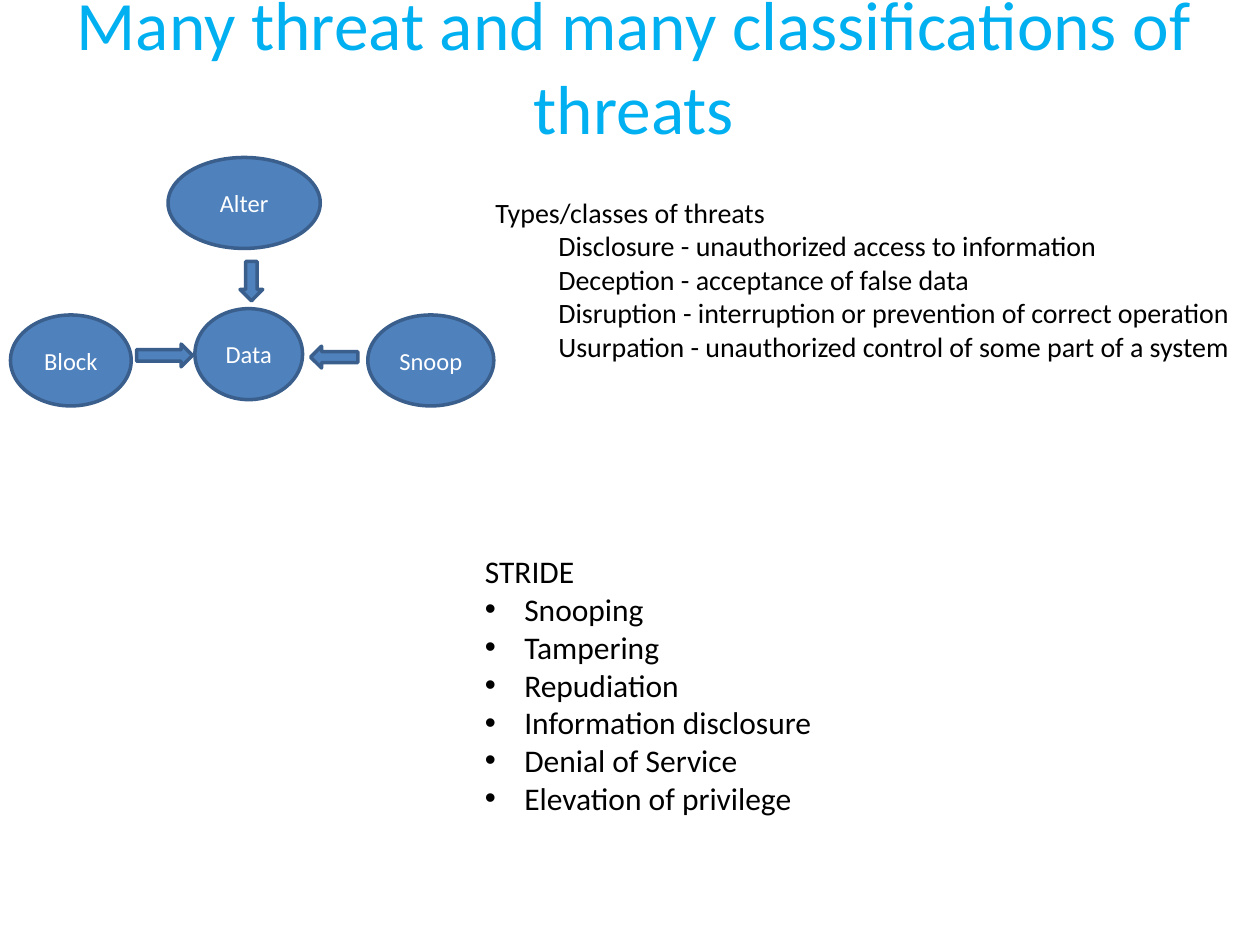
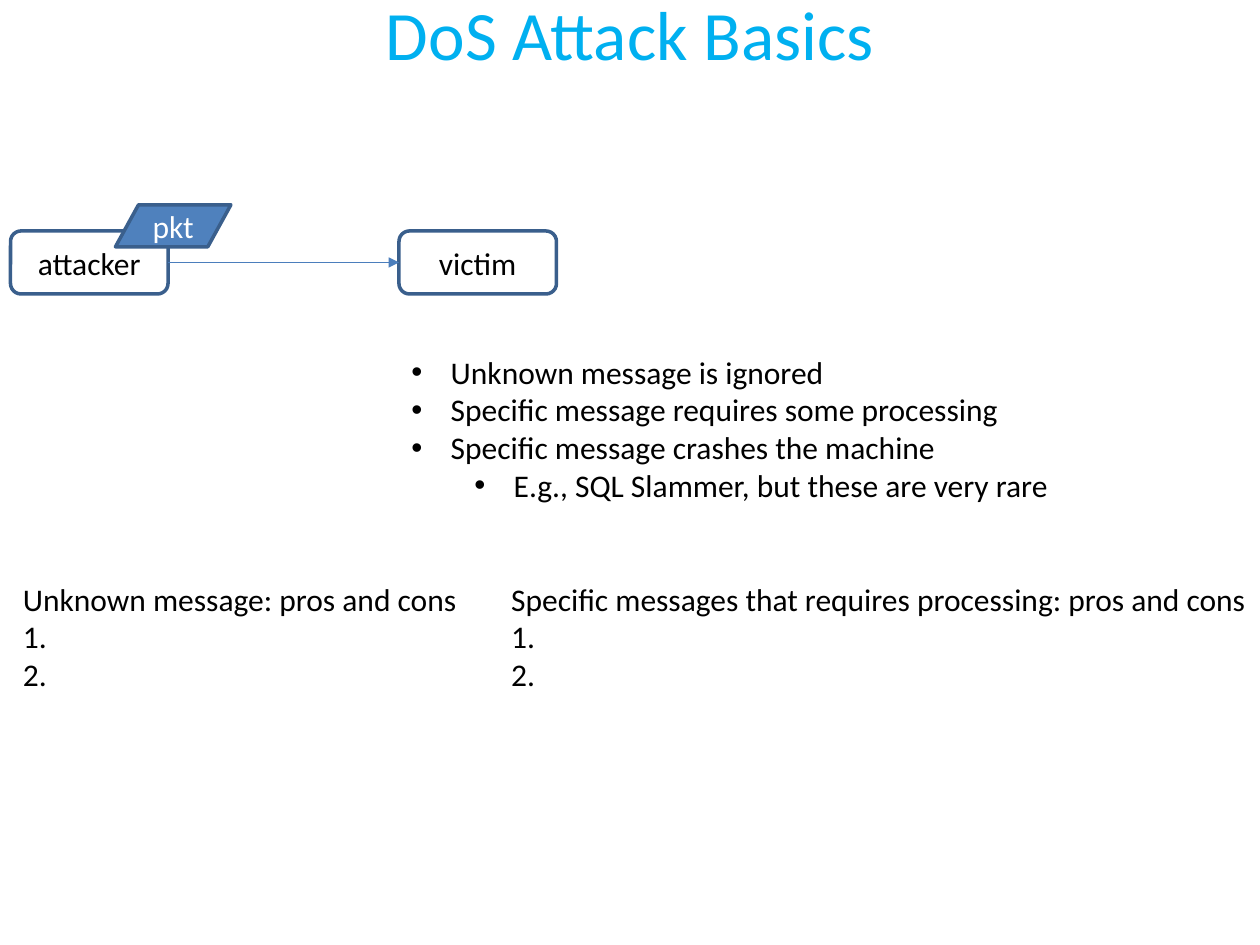
from lxml.etree import SubElement
from pptx import Presentation
from pptx.dml.color import RGBColor
from pptx.enum.shapes import MSO_CONNECTOR, MSO_SHAPE
from pptx.enum.text import MSO_ANCHOR, MSO_AUTO_SIZE, PP_ALIGN
from pptx.oxml.ns import qn
from pptx.util import Pt

COLORS = {
    "title": "00B0F0",
    "text": "000000",
    "light": "FFFFFF",
    "fill": "4F81BD",
    "outline": "3A5F8C",
    "connector": "4B7EBC",
}
FONT = "Calibri"
TITLE_ONLY = 5
SLIDE_WIDTH, SLIDE_HEIGHT = 720, 540
LEVEL_INDENT = 36
HANGING = {"bullet": 22.5, "number": 27}


def rgb(name):
    return RGBColor.from_string(COLORS[name])


class SlideBuilder:
    """Holds the deck style and the slide being drawn."""

    def __init__(self):
        self.deck = Presentation()
        self.deck.slide_width = Pt(SLIDE_WIDTH)
        self.deck.slide_height = Pt(SLIDE_HEIGHT)
        self.page = None

    def style_text(self, frame, size, color, align=PP_ALIGN.LEFT):
        for para in frame.paragraphs:
            para.alignment = align
            for span in para.runs:
                span.font.name = FONT
                span.font.size = Pt(size)
                span.font.color.rgb = rgb(color)

    def new_page(self, title, left, top):
        self.page = self.deck.slides.add_slide(self.deck.slide_layouts[TITLE_ONLY])
        box = self.page.shapes.title
        box.left, box.top, box.width, box.height = Pt(left), Pt(top), Pt(SLIDE_WIDTH), Pt(38)
        frame = box.text_frame
        frame.text = title
        frame.auto_size = MSO_AUTO_SIZE.NONE
        frame.vertical_anchor = MSO_ANCHOR.MIDDLE
        self.style_text(frame, 39.6, "title", PP_ALIGN.CENTER)

    def shape(self, kind, left, top, width, height, text="", size=14,
              fill="fill", color="light", rotation=0):
        box = self.page.shapes.add_shape(kind, Pt(left), Pt(top), Pt(width), Pt(height))
        box.shadow.inherit = False
        box.rotation = rotation
        if fill:
            box.fill.solid()
            box.fill.fore_color.rgb = rgb(fill)
        else:
            box.fill.background()
        box.line.color.rgb = rgb("outline")
        box.line.width = Pt(2)
        if text:
            box.text_frame.text = text
            box.text_frame.vertical_anchor = MSO_ANCHOR.MIDDLE
            self.style_text(box.text_frame, size, color, PP_ALIGN.CENTER)
        return box

    def arrow(self, start, end):
        """Join the right side of one box to the left side of another."""
        line = self.page.shapes.add_connector(MSO_CONNECTOR.STRAIGHT, 0, 0, 0, 0)
        line.begin_connect(start, 3)
        line.end_connect(end, 1)
        line.line.color.rgb = rgb("connector")
        line.line.width = Pt(0.75)
        SubElement(line.line._get_or_add_ln(), qn("a:tailEnd"), type="triangle")
        SubElement(line._element.spPr, qn("a:effectLst"))

    def text(self, left, top, width, height, items, size=18, wrap=False):
        """Write (text, marker, level) items, one paragraph each."""
        box = self.page.shapes.add_textbox(Pt(left), Pt(top), Pt(width), Pt(height))
        frame = box.text_frame
        frame.word_wrap = wrap
        frame.auto_size = MSO_AUTO_SIZE.SHAPE_TO_FIT_TEXT
        frame.text = "\n".join(item[0] for item in items)
        self.style_text(frame, size, "text")
        for para, (_, marker, level) in zip(frame.paragraphs, items):
            para.level = level
            self.mark(para, marker, level)

    def mark(self, para, marker, level):
        hanging = HANGING.get(marker, 0)
        properties = para._p.get_or_add_pPr()
        properties.set("marL", str(Pt(level * LEVEL_INDENT + hanging)))
        properties.set("indent", str(-Pt(hanging)))
        if marker == "bullet":
            SubElement(properties, qn("a:buFont"), typeface="Arial")
            SubElement(properties, qn("a:buChar"), char="•")
        elif marker == "number":
            SubElement(properties, qn("a:buAutoNum"), type="arabicPeriod")


def plain(text, level=0):
    return text, None, level


def bullet(text, level=0):
    return text, "bullet", level


def draw_threats(builder):
    builder.new_page("Many threat and many classifications of threats", 2.2, 18)
    for label, left, top, width in (
        ("Data", 111.4, 176.4, 61.5),
        ("Snoop", 210.2, 180, 72),
        ("Alter", 96, 90, 87),
        ("Block", 6, 180, 69),
    ):
        builder.shape(MSO_SHAPE.OVAL, left, top, width, 52, label)
    for left, top, width, height, rotation in (
        (78, 196.6, 32, 13, 0),
        (177.5, 197.8, 27, 12.5, 180),
        (132.4, 154.2, 22.5, 13, 90),
    ):
        builder.shape(MSO_SHAPE.RIGHT_ARROW, left, top, width, height, rotation=rotation)

    classes = (
        "Disclosure - unauthorized access to information",
        "Deception - acceptance of false data",
        "Disruption - interruption or prevention of correct operation",
        "Usurpation - unauthorized control of some part of a system",
    )
    builder.text(276, 108, 444, 104.4,
                 [plain("Types/classes of threats")] + [plain(name, 1) for name in classes],
                 size=16, wrap=True)
    stride = ("Snooping", "Tampering", "Repudiation", "Information disclosure",
              "Denial of Service", "Elevation of privilege")
    builder.text(270, 312, 203, 160, [plain("STRIDE")] + [bullet(name) for name in stride])


def draw_dos_attack(builder):
    builder.new_page("DoS Attack Basics", 0, 0)
    attacker, victim = (
        builder.shape(MSO_SHAPE.ROUNDED_RECTANGLE, left, 132, 90, 36, label,
                      size=18, fill=None, color="text")
        for label, left in (("attacker", 6), ("victim", 228))
    )
    builder.arrow(attacker, victim)
    builder.shape(MSO_SHAPE.FLOWCHART_DATA, 66, 117, 66, 24, "pkt", size=18)

    builder.text(228, 198, 382, 94.5, [
        bullet("Unknown message is ignored"),
        bullet("Specific message requires some processing"),
        bullet("Specific message crashes the machine"),
        bullet("E.g., SQL Slammer, but these are very rare", 1),
    ])
    for heading, left, width in (
        ("Unknown message: pros and cons", 6, 265),
        ("Specific messages that requires processing: pros and cons", 285, 439),
    ):
        builder.text(left, 327.6, width, 72.7, [plain(heading)] + [(" ", "number", 0)] * 2)


def main():
    builder = SlideBuilder()
    draw_threats(builder)
    draw_dos_attack(builder)
    builder.deck.save("out.pptx")


if __name__ == "__main__":
    main()
